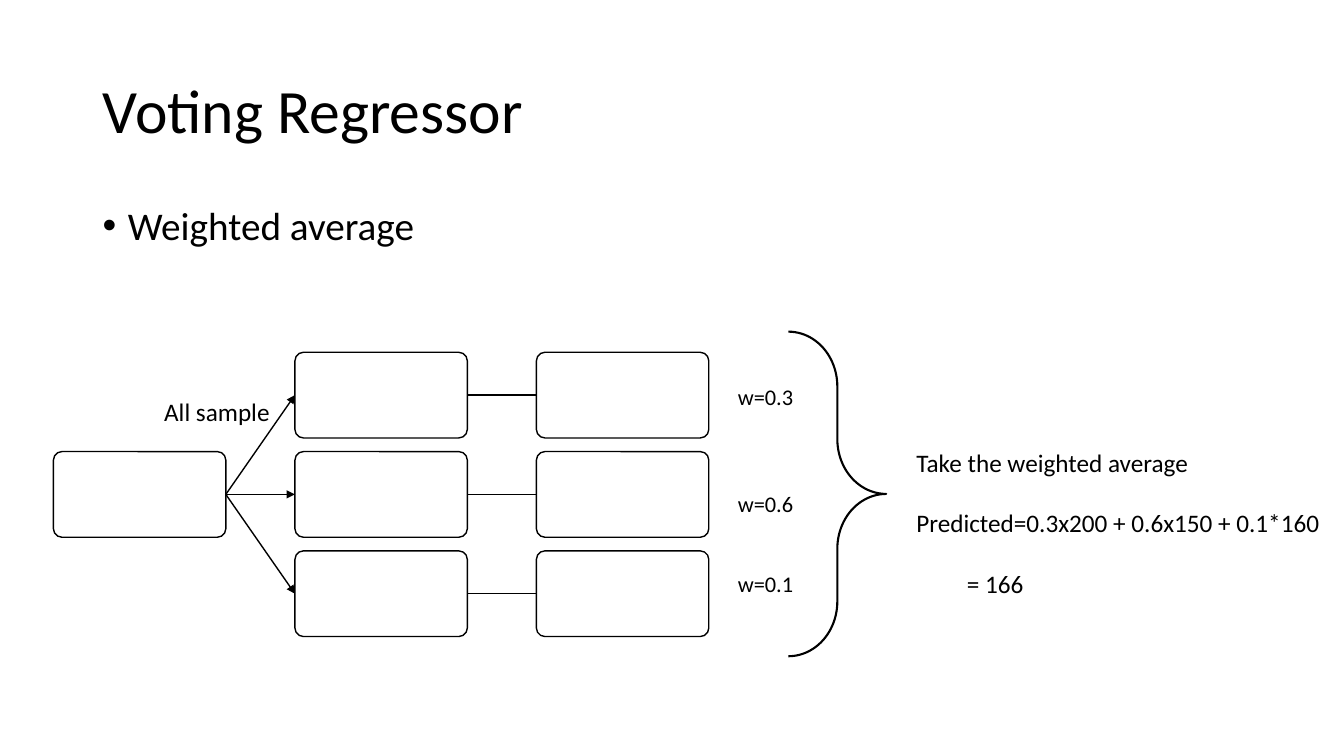
from lxml import etree
from pptx import Presentation
from pptx.dml.color import RGBColor
from pptx.enum.shapes import MSO_CONNECTOR, MSO_SHAPE
from pptx.enum.text import MSO_ANCHOR
from pptx.oxml.ns import qn
from pptx.util import Inches, Pt

BLACK = RGBColor(0x00, 0x00, 0x00)
WHITE = RGBColor(0xFF, 0xFF, 0xFF)
ROUNDED, BRACE = MSO_SHAPE.ROUNDED_RECTANGLE, MSO_SHAPE.RIGHT_BRACE
STRAIGHT = MSO_CONNECTOR.STRAIGHT
TOP, MIDDLE = MSO_ANCHOR.TOP, MSO_ANCHOR.MIDDLE
FONT = "Calibri"

# Content: (text, space before in points)
TITLE = [("Voting Regressor", 0)]
BULLET = [("Weighted average", 10)]
SAMPLE = [("All sample", 0)]
WEIGHTS = [("w=0.3", 0), ("w=0.6", 57), ("w=0.1", 38.5)]
RESULT = [
    ("Take the weighted average", 0),
    ("Predicted=0.3x200 + 0.6x150 + 0.1*160", 21.5),
    ("\t= 166", 21.5),
]

# Tree layout in inches: three columns, three rows
BOX_W, BOX_H = 1.71, 0.85
COLUMNS = [0.53 + i * 2.395 for i in range(3)]
ROWS = [3.92 + i * 0.985 for i in range(3)]  # centre lines

prs = Presentation()
prs.slide_width, prs.slide_height = Inches(13.33), Inches(7.5)
slide = prs.slides.add_slide(prs.slide_layouts[6])
shapes = slide.shapes


def add_text(lines, left, top, width, height, size, anchor=TOP, spacing=1.0):
    sp = shapes.add_textbox(*map(Inches, (left, top, width, height)))
    tf = sp.text_frame
    tf.word_wrap = True
    tf.vertical_anchor = anchor
    for i, (text, before) in enumerate(lines):
        p = tf.paragraphs[0] if i == 0 else tf.add_paragraph()
        p.text = text
        p.line_spacing = spacing
        p.space_before = Pt(before)
        for r in p.runs:
            r.font.name, r.font.size = FONT, Pt(size)
            r.font.color.rgb = BLACK
    return tf


def add_box(left, centre):
    sp = shapes.add_shape(ROUNDED, Inches(left), Inches(centre - BOX_H / 2),
                          Inches(BOX_W), Inches(BOX_H))
    sp.adjustments[0] = 0.1
    sp.shadow.inherit = False
    sp.fill.solid()
    sp.fill.fore_color.rgb = WHITE
    sp.line.color.rgb = BLACK
    sp.line.width = Pt(1)


def add_link(x1, y1, x2, y2, arrow=False):
    link = shapes.add_connector(STRAIGHT, *map(Inches, (x1, y1, x2, y2)))
    link.line.color.rgb = BLACK
    link.line.width = Pt(1)
    if arrow:
        etree.SubElement(link.line._get_or_add_ln(), qn("a:tailEnd"), type="triangle")
    etree.SubElement(link._element.spPr, qn("a:effectLst"))


# Title and bullet
add_text(TITLE, 0.92, 0.4, 11.5, 1.45, 44, MIDDLE, 0.9)
body = add_text(BULLET, 0.92, 2, 11.5, 0.75, 28, spacing=0.9)
pPr = body.paragraphs[0]._p.get_or_add_pPr()
pPr.set("marL", str(Inches(0.25)))
pPr.set("indent", str(Inches(-0.25)))
etree.SubElement(pPr, qn("a:buFont"), typeface="Arial")
etree.SubElement(pPr, qn("a:buChar"), char="•")

# Tree of models
root, model, output = COLUMNS
add_box(root, ROWS[1])
for centre in ROWS:
    add_link(root + BOX_W, ROWS[1], model, centre, arrow=True)
    add_link(model + BOX_W, centre, output, centre)
    add_box(model, centre)
    add_box(output, centre)

# Weights, brace and result
add_text(SAMPLE, 1.53, 3.88, 1.32, 0.4, 18)
weights = add_text(WEIGHTS, 7.22, 3.48, 0.86, 2.5, 16)
weights.margin_top = Inches(0.32)
brace = shapes.add_shape(BRACE, *map(Inches, (7.82, 3.29, 0.97, 3.22)))
brace.adjustments[0], brace.adjustments[1] = 0.56, 0.5
brace.shadow.inherit = False
brace.fill.background()
brace.line.color.rgb = BLACK
brace.line.width = Pt(1.5)
add_text(RESULT, 8.99, 4.39, 4.21, 1.6, 18)

prs.save("out.pptx")
